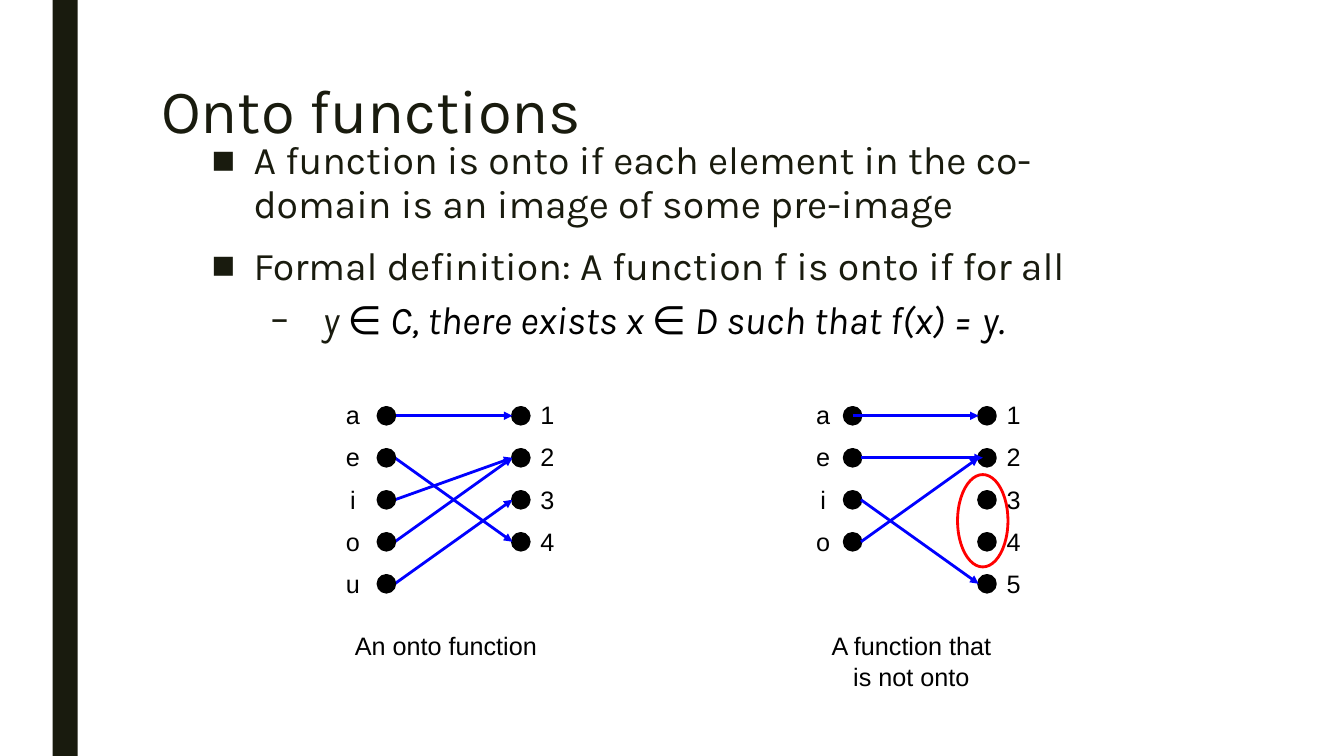
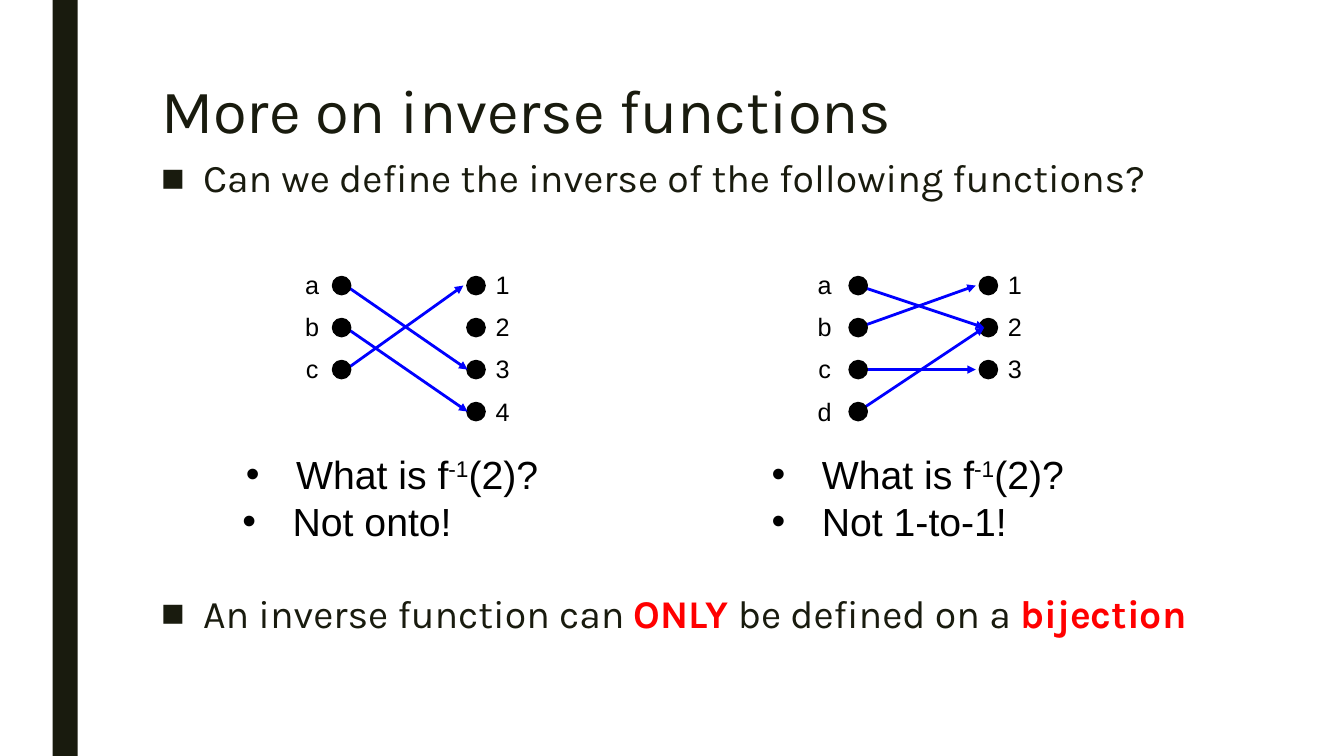
from dataclasses import dataclass
from lxml import etree
from pptx import Presentation
from pptx.dml.color import RGBColor
from pptx.enum.shapes import MSO_CONNECTOR, MSO_SHAPE
from pptx.enum.text import MSO_ANCHOR, PP_ALIGN
from pptx.oxml.ns import qn
from pptx.util import Pt

RECT, OVAL = MSO_SHAPE.RECTANGLE, MSO_SHAPE.OVAL
LINE = MSO_CONNECTOR.STRAIGHT
TOP = MSO_ANCHOR.TOP
LEFT, MID = PP_ALIGN.LEFT, PP_ALIGN.CENTER


@dataclass(frozen=True)
class Theme:
    ink: str = "191B0E"
    black: str = "000000"
    blue: str = "0000FF"
    red: str = "FF0000"
    head: str = "Karla"
    sans: str = "Arial"
    title: int = 44
    body: int = 28
    label: int = 18
    line: int = 2
    dot: int = 12
    step: int = 30


T = Theme()

SQUARE = dict(mark="■", face="Arial", left=30, hang=30, before=10, after=2)
DASH = dict(mark="–", face=T.head, left=79, hang=37, before=5, after=2)
ROUND = dict(mark="•", face=T.sans, left=36, hang=36)

KARLA = dict(font=T.head, size=T.body, color=T.ink)
ARIAL = dict(font=T.sans, size=T.body, color=T.black)
LABEL = dict(font=T.sans, size=T.label, color=T.black)
HOT = dict(color=T.red, bold=True)
SLANT = dict(italic=True)
RAISED = dict(base=30000)

ASK = [("What is f", {}), ("-1", RAISED), ("(2)?", {})]

SLIDES = [
    dict(
        title="Onto functions",
        texts=[
            dict(box=(144, 96, 636, 402), style=KARLA, lead=0.94, paras=[
                (SQUARE, LEFT, [("A function is onto if each element in the "
                                 "co-domain is an image of some pre-image", {})]),
                (SQUARE, LEFT, [("Formal definition: A function f is onto if for all", {})]),
                (DASH, LEFT, [("y ", SLANT),
                              ("∈ C, there exists x ∈ D such that f(x) = y.",
                               dict(italic=True, color=T.black))]),
            ]),
            dict(box=(245, 447, 147, 29), style=LABEL, paras=[
                ({}, MID, [("An onto function", {})])]),
            dict(box=(582, 447, 138, 51), style=LABEL, paras=[
                ({}, MID, [("A function that is not onto", {})])]),
        ],
        maps=[
            dict(x=(276, 372), y=297, gap=24, left="aeiou", right="1234", over=False,
                 links=[("a", "1", 6, 6), ("e", "4", 6, 6), ("i", "2", 6, 6),
                        ("o", "2", 6, 6), ("u", "3", 6, 6)]),
            dict(x=(609, 705), y=297, gap=21, left="aeio", right="12345", over=True,
                 links=[("a", "1", 0, 6), ("e", "2", 6, 3), ("o", "2", 6, 6),
                        ("i", "5", 6, 6)]),
        ],
        rings=[(684, 339, 36, 66)],
    ),
    dict(
        title="More on inverse functions",
        texts=[
            dict(box=(108, 110, 756, 44), style=KARLA, lead=0.9, paras=[
                (SQUARE, LEFT, [("Can we define the inverse of the following functions?", {})])]),
            dict(box=(108, 421, 756, 44), style=KARLA, lead=0.9, paras=[
                (SQUARE, LEFT, [("An inverse function can ", {}), ("ONLY ", HOT),
                                ("be defined on a ", {}), ("bijection", HOT)])]),
            dict(box=(166, 318, 228, 75), style=ARIAL, paras=[
                (ROUND, MID, ASK), (ROUND, LEFT, [("Not onto!", {})])]),
            dict(box=(544, 318, 228, 75), style=ARIAL, paras=[
                (ROUND, LEFT, ASK), (ROUND, LEFT, [("Not 1-to-1!", {})])]),
        ],
        maps=[
            dict(x=(244, 340), y=204, gap=21, left="abc", right="1234", over=False,
                 links=[("b", "4", 3, 6), ("a", "3", 3, 6), ("c", "1", 3, 9)]),
            dict(x=(613, 706), y=204, gap=24, left="abcd", right="123", over=False,
                 links=[("b", "1", 0, 9), ("a", "2", 0, 3), ("c", "3", 0, 9),
                        ("d", "2", 0, 3)]),
        ],
        rings=[],
    ),
]


def rgb(code):
    return RGBColor.from_string(code)


def shape(slide, kind, box, fill=None, line=None):
    part = slide.shapes.add_shape(kind, *map(Pt, box))
    part.shadow.inherit = False
    if fill:
        part.fill.solid()
        part.fill.fore_color.rgb = rgb(fill)
    else:
        part.fill.background()
    if line:
        part.line.color.rgb = rgb(line)
        part.line.width = Pt(T.line)
    else:
        part.line.fill.background()


def arrow(slide, start, end):
    link = slide.shapes.add_connector(LINE, *map(Pt, start + end))
    link.line.color.rgb = rgb(T.blue)
    link.line.width = Pt(T.line)
    props = link._element.spPr
    etree.SubElement(props.find(qn("a:ln")), qn("a:tailEnd"), type="triangle")
    etree.SubElement(props, qn("a:effectLst"))


def bullet(para, mark, face, left, hang, before=0, after=0):
    props = para._p.get_or_add_pPr()
    props.set("marL", str(Pt(left)))
    props.set("indent", str(-Pt(hang)))
    etree.SubElement(props, qn("a:buFont"), typeface=face)
    etree.SubElement(props, qn("a:buChar"), char=mark)
    para.space_before = Pt(before)
    para.space_after = Pt(after)


def write(para, text, font, size, color, bold=False, italic=False, base=0):
    run = para.add_run()
    run.text = text
    run.font.name = font
    run.font.size = Pt(size)
    run.font.color.rgb = rgb(color)
    run.font.bold = bold
    run.font.italic = italic
    if base:
        run.font._element.set("baseline", str(base))


def text(slide, box, paras, style, lead=1.0, pad=7.2):
    frame = slide.shapes.add_textbox(*map(Pt, box)).text_frame
    frame.word_wrap = True
    frame.vertical_anchor = TOP
    frame.margin_left = frame.margin_right = Pt(pad)
    for i, (mark, align, runs) in enumerate(paras):
        para = frame.add_paragraph() if i else frame.paragraphs[0]
        if mark:
            bullet(para, **(mark if i else {**mark, "before": 0}))
        para.alignment = align
        para.line_spacing = lead
        for words, extra in runs:
            write(para, words, **{**style, **extra})


def dots(slide, x, y, names):
    half = T.dot / 2
    for i in range(len(names)):
        shape(slide, OVAL, (x - half, y + i * T.step - half, T.dot, T.dot),
              T.black, T.black)


def labels(slide, x, y, names):
    paras = [({}, MID, [(name, {})]) for name in names]
    text(slide, (x - 12, y - 24, 24, len(names) * T.step + 8), paras, LABEL, 1.4, 0)


def diagram(slide, x, y, gap, left, right, over, links):
    near, far = x
    dots(slide, far, y, right)
    if over:
        dots(slide, near, y, left)
    for a, b, out, back in links:
        arrow(slide, (near + out, y + left.index(a) * T.step),
              (far - back, y + right.index(b) * T.step))
    if not over:
        dots(slide, near, y, left)
    labels(slide, near - gap, y, left)
    labels(slide, far + 19, y, right)


def base(deck, title):
    slide = deck.slides.add_slide(deck.slide_layouts[6])
    shape(slide, RECT, (37.5, 0, 18, 540), T.ink)
    text(slide, (108, 54, 756, 117), [({}, LEFT, [(title, {})])],
         {**KARLA, "size": T.title}, 0.89)
    return slide


def main():
    deck = Presentation()
    deck.slide_width, deck.slide_height = Pt(960), Pt(540)
    for page in SLIDES:
        slide = base(deck, page["title"])
        for item in page["texts"]:
            text(slide, **item)
        for item in page["maps"]:
            diagram(slide, **item)
        for box in page["rings"]:
            shape(slide, OVAL, box, line=T.red)
    deck.save("out.pptx")


if __name__ == "__main__":
    main()
